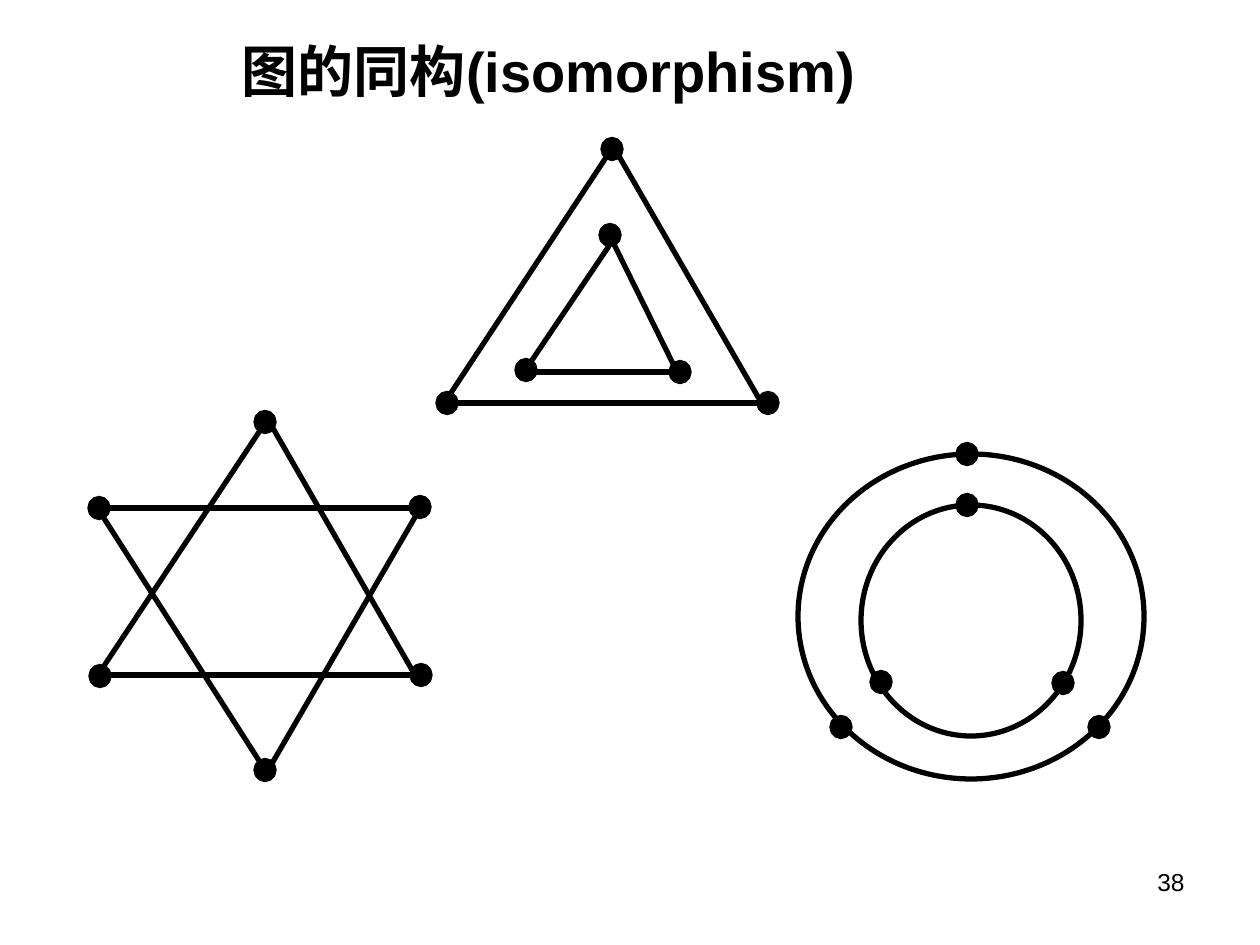
"""Build a slide showing three drawings of one graph."""
from lxml.etree import SubElement
from pptx import Presentation
from pptx.dml.color import RGBColor
from pptx.enum.shapes import MSO_CONNECTOR, MSO_SHAPE
from pptx.enum.text import MSO_ANCHOR, PP_ALIGN
from pptx.oxml.ns import qn
from pptx.util import Pt

PIXEL = 914400 / 126
BLACK = "000000"
DOT_WIDTH, DOT_HEIGHT = 18, 19


def pixels(*lengths):
    return [round(length * PIXEL) for length in lengths]


def write_text(frame, text, size, alignment, anchor, bold=False, color=BLACK):
    frame.word_wrap = True
    frame.vertical_anchor = anchor
    paragraph = frame.paragraphs[0]
    paragraph.alignment = alignment
    run = paragraph.add_run()
    run.text = text
    run.font.name = "Arial"
    run.font.size = Pt(size)
    run.font.bold = bold
    run.font.color.rgb = RGBColor.from_string(color)


presentation = Presentation()
presentation.slide_width, presentation.slide_height = pixels(1260, 945)
slide = presentation.slides.add_slide(presentation.slide_layouts[5])

title = slide.shapes.title
title.left, title.top, title.width, title.height = pixels(21, 18, 1071, 105)
write_text(title.text_frame, "图的同构(isomorphism) ", 32, PP_ALIGN.CENTER, MSO_ANCHOR.MIDDLE, bold=True)

number_box = slide.shapes.add_textbox(*pixels(903, 861, 294, 66))
write_text(number_box.text_frame, "38", 14, PP_ALIGN.RIGHT, MSO_ANCHOR.TOP)

star = {
    "edges": [(265, 770, 100, 512), (415, 675, 270, 423), (421, 507, 263, 779),
              (103, 508, 422, 508), (98, 675, 265, 423), (105, 675, 423, 675)],
    "rings": [],
    "vertices": [(420, 507), (99, 508), (421, 675), (100, 676), (265, 422), (265, 770)],
}
nested_triangles = {
    "edges": [(524, 372, 609, 246), (761, 402, 616, 151), (609, 234, 682, 382),
              (524, 372, 682, 372), (445, 402, 611, 150), (451, 403, 770, 403)],
    "rings": [],
    "vertices": [(680, 372), (610, 235), (768, 403), (447, 403), (612, 149), (526, 370)],
}
nested_circles = {
    "edges": [],
    "rings": [(861, 505, 220, 231), (798, 454, 346, 325)],
    "vertices": [(1063, 683), (967, 505), (1099, 727), (841, 727), (967, 454), (881, 682)],
}

for graph in (star, nested_triangles, nested_circles):
    group = slide.shapes.add_group_shape()
    for edge in graph["edges"]:
        connector = group.shapes.add_connector(MSO_CONNECTOR.STRAIGHT, *pixels(*edge))
        connector.line.color.rgb = RGBColor.from_string(BLACK)
        connector.line.width = Pt(3)
        SubElement(connector.element.spPr, qn("a:effectLst"))
    dots = [(x - DOT_WIDTH / 2, y - DOT_HEIGHT / 2, DOT_WIDTH, DOT_HEIGHT)
            for x, y in graph["vertices"]]
    for bounds in graph["rings"] + dots:
        ellipse = group.shapes.add_shape(MSO_SHAPE.OVAL, *pixels(*bounds))
        ellipse.shadow.inherit = False
        ellipse.line.color.rgb = RGBColor.from_string(BLACK)
        ellipse.line.width = Pt(3)
        if bounds in dots:
            ellipse.fill.solid()
            ellipse.fill.fore_color.rgb = RGBColor.from_string(BLACK)
        else:
            ellipse.fill.background()

presentation.save("out.pptx")
